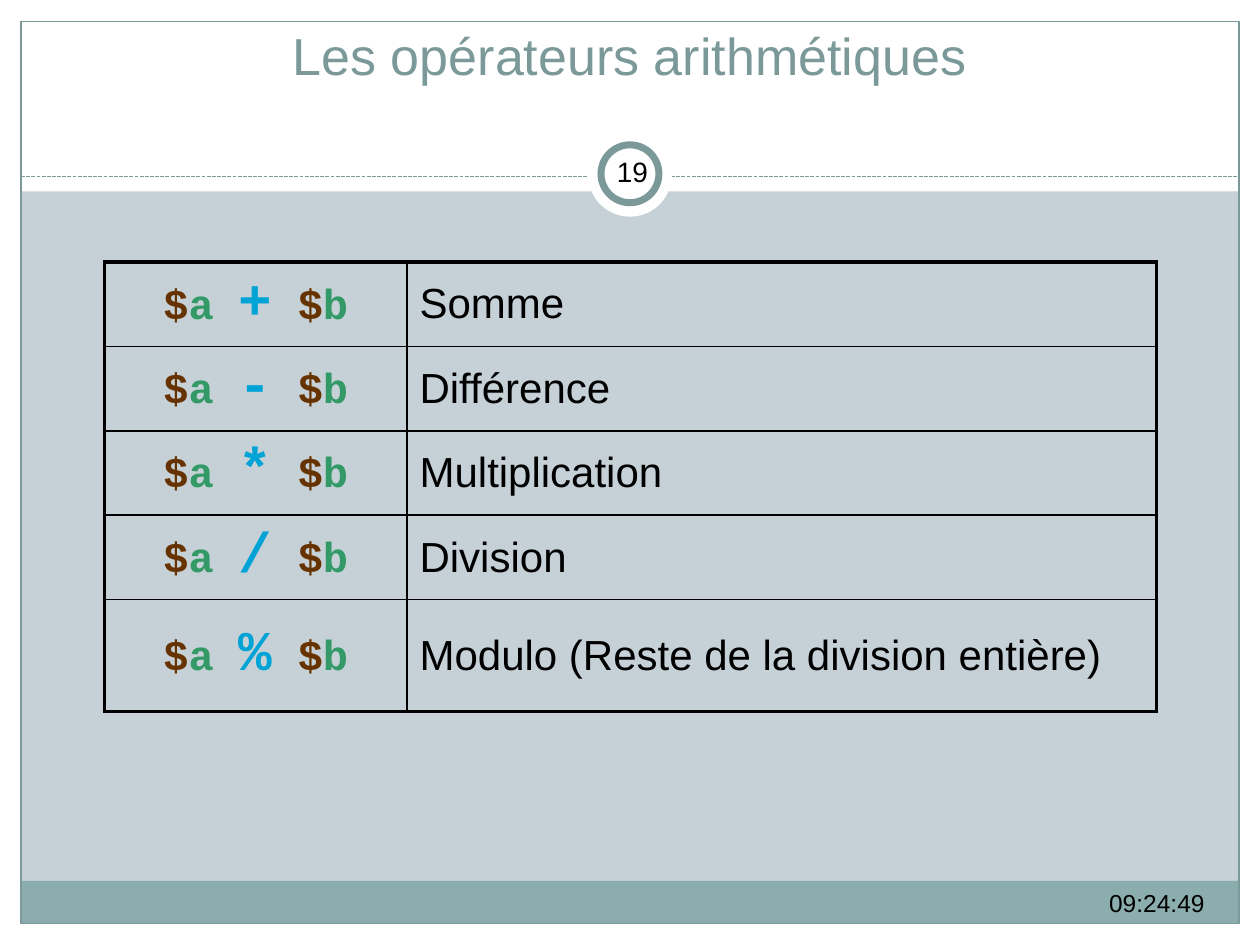
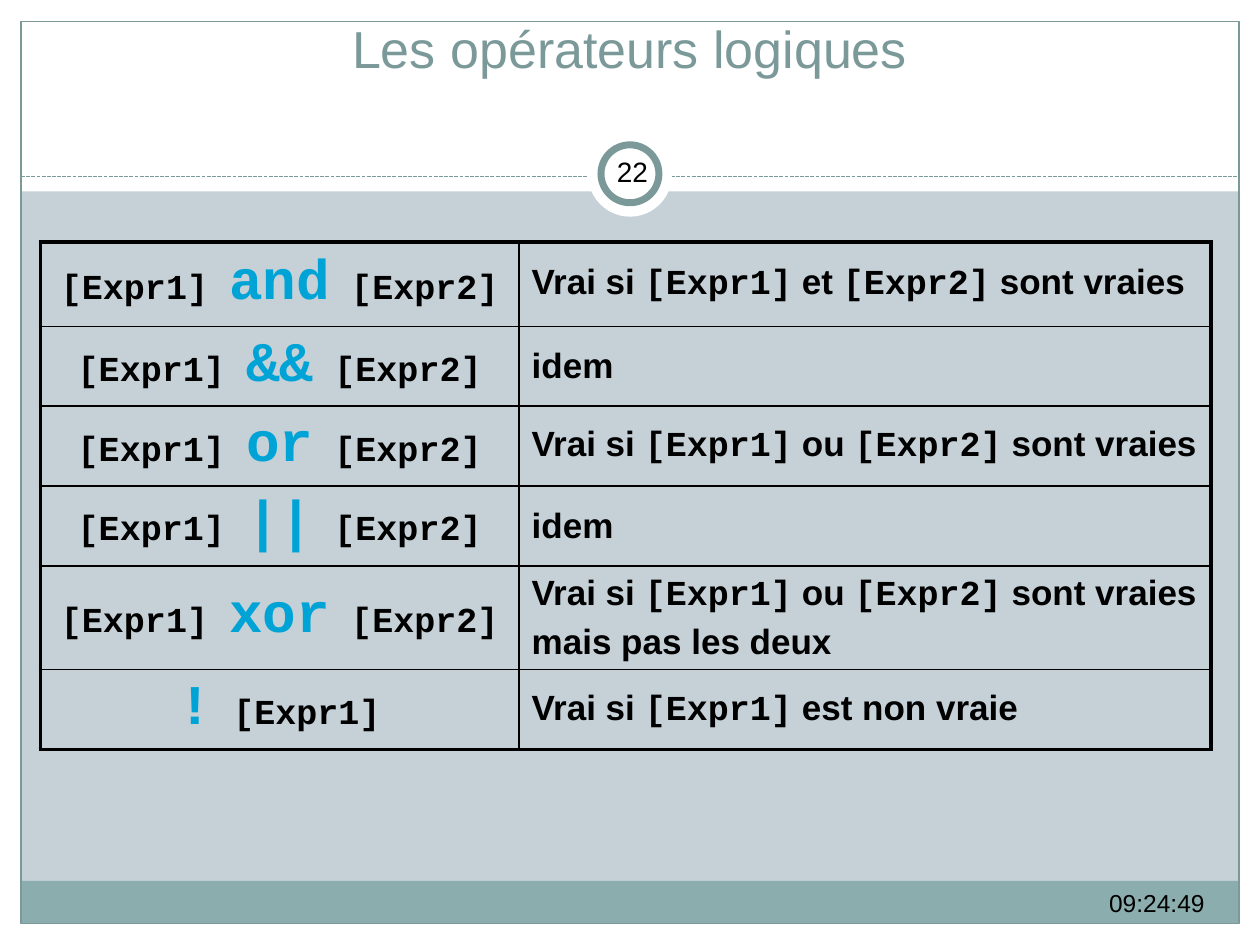
import pptx
import pptx.util
import pptx.dml.color
import pptx.enum.dml
import pptx.enum.shapes
import pptx.enum.text
import lxml.etree
from pptx.oxml.ns import qn

Pt = pptx.util.Pt
Inches = pptx.util.Inches
Rgb = pptx.dml.color.RGBColor.from_string
Kind = pptx.enum.shapes.MSO_SHAPE
Align = pptx.enum.text.PP_ALIGN
Anchor = pptx.enum.text.MSO_ANCHOR


class Theme:
    back, white, black = "C5D1D7", "FFFFFF", "000000"
    band, accent = "8CADAE", "7C999A"
    dollar, name, sign = "663300", "339966", "00A3D6"
    sans, mono = "Arial", "Courier New"
    title, clock, number = 29.7, 14, 16
    large, text, small = 32, 24, 20
    hair, ring = 0.75, 4
    thin, thick = 1, 2.25


deck = pptx.Presentation()
deck.slide_width, deck.slide_height = Inches(10), Inches(7.5)


def grid(left, top, width, height):
    """Turn percentages of the slide into lengths."""
    wide, high = deck.slide_width / 100, deck.slide_height / 100
    return [int(n) for n in (left * wide, top * high, width * wide, height * high)]


def write(par, parts, align):
    """Fill a paragraph with (text, font, size, colour, bold) runs."""
    par.alignment = align
    for text, font, size, colour, bold in parts:
        run = par.add_run()
        run.text = text
        run.font.name, run.font.size, run.font.bold = font, Pt(size), bold
        run.font.color.rgb = Rgb(colour)


# Shared background and frame: drawn on the first slide, moved to the layout
layout = deck.slide_layouts[5]
fill = deck.slide_master.background.fill
fill.solid()
fill.fore_color.rgb = Rgb(Theme.back)
first = deck.slides.add_slide(layout)

side, edge = 1.67, 2.27  # white margins, in shares of width and height
inner = 100 - 2 * side
frame = [
    (Kind.RECTANGLE, (0, 100 - edge, 100, edge), Theme.white, 0),
    (Kind.RECTANGLE, (0, 0, 100, 20.27), Theme.white, 0),
    (Kind.RECTANGLE, (0, 0, side, 100), Theme.white, 0),
    (Kind.RECTANGLE, (100 - side, 0, side, 100), Theme.white, 0),
    (Kind.RECTANGLE, (side, 93.2, inner, 4.53), Theme.band, 0),
    (Kind.RECTANGLE, (side, edge, inner, 100 - 2 * edge), None, Theme.hair),
    (Kind.OVAL, (46.67, 14, 6.67, 8.93), Theme.white, 0),
    (Kind.OVAL, (47.7, 15.33, 4.6, 6.13), Theme.white, Theme.ring),
]

left, top, width, height = grid(side, 18.67, inner, 0)
rule = first.shapes.add_connector(
    pptx.enum.shapes.MSO_CONNECTOR.STRAIGHT, left, top, left + width, top)
rule.line.color.rgb = Rgb(Theme.accent)
rule.line.width = Pt(Theme.hair)
rule.line.dash_style = pptx.enum.dml.MSO_LINE.SQUARE_DOT
lxml.etree.SubElement(rule.element.spPr, qn("a:effectLst"))

for kind, area, colour, line in frame:
    if kind == Kind.OVAL:
        layout.shapes.element.append(rule.element)  # the ovals cover the rule
    shape = first.shapes.add_shape(kind, *grid(*area))
    shape.shadow.inherit = False
    if colour:
        shape.fill.solid()
        shape.fill.fore_color.rgb = Rgb(colour)
    else:
        shape.fill.background()
    if line:
        shape.line.color.rgb = Rgb(Theme.accent)
        shape.line.width = Pt(line)
    else:
        shape.line.fill.background()
    layout.shapes.element.append(shape.element)
    if kind == Kind.OVAL and not line:
        disc = shape
# Keep the order: rule, white disc, ring
shape.element.addprevious(rule.element)
shape.element.addprevious(disc.element)

# Table contents: a cell is a list of paragraphs, a paragraph a list of runs
maths = []
for sign, label in [("+", "Somme"), ("-", "Différence"), ("*", "Multiplication"),
                    ("/", "Division"), ("%", "Modulo (Reste de la division entière)")]:
    term = [("$", Theme.text, Theme.dollar), ("a ", Theme.text, Theme.name),
            (sign, Theme.large, Theme.sign), (" ", Theme.text, Theme.black),
            ("$", Theme.text, Theme.dollar), ("b", Theme.text, Theme.name)]
    code = [(text, Theme.mono, size, colour, True) for text, size, colour in term]
    note = [(label, Theme.sans, Theme.text, Theme.black, False)]
    maths.append(([code], [note]))

# In a note, bars set off the parts written in the code font
either = "Vrai si |[Expr1]| ou |[Expr2]| sont vraies"
logic = []
for head, sign, tail, lines in [
    ("[Expr1] ", "and", " [Expr2]", ["Vrai si |[Expr1]| et |[Expr2]| sont vraies"]),
    ("[Expr1] ", "&&", " [Expr2]", ["idem"]),
    ("[Expr1] ", "or", " [Expr2]", [either]),
    ("[Expr1] ", "||", " [Expr2]", ["idem"]),
    ("[Expr1] ", "xor", " [Expr2]", [either, "mais pas les deux"]),
    ("", "!", " [Expr1]", ["Vrai si |[Expr1]| est non vraie"]),
]:
    term = [(head, Theme.small, Theme.black), (sign, Theme.large, Theme.sign),
            (tail, Theme.small, Theme.black)]
    code = [(text, Theme.mono, size, colour, True) for text, size, colour in term if text]
    fonts = (Theme.sans, Theme.mono)
    notes = [[(text, fonts[i % 2], Theme.small, Theme.black, True)
              for i, text in enumerate(line.split("|"))] for line in lines]
    logic.append(([code], notes))

# Slide, title, title height, number, table corner, columns, rows, cells
pages = [
    (first, "Les opérateurs arithmétiques", 5.73, "19", (8.3, 27.73),
     (24, 59.5), [8.93] * 4 + [11.87], maths),
    (deck.slides.add_slide(layout), "Les opérateurs logiques", 5.07, "22", (3.2, 25.6),
     (38, 54.9), [8.93] + [7.73] * 4 + [6.67], logic),
]
for slide, head, tall, number, corner, cols, rows, cells in pages:
    title = slide.shapes.title
    title.left, title.top, title.width, title.height = grid(5, 4, 90, tall)
    box = title.text_frame
    box.text = head
    box.vertical_anchor = Anchor.BOTTOM
    box.auto_size = pptx.enum.text.MSO_AUTO_SIZE.NONE
    box.margin_top = box.margin_bottom = Inches(0.05)
    par = box.paragraphs[0]
    par.alignment = Align.CENTER
    font = par.runs[0].font
    font.name, font.size = Theme.sans, Pt(Theme.title)
    font.color.rgb = Rgb(Theme.accent)

    for text, area, size, align, anchor, inset in [
        ("09:24:49", (63.3, 93.33, 33.3, 5.33), Theme.clock, Align.RIGHT, Anchor.TOP, 0.1),
        (number, (47.7, 14.93, 5, 6.4), Theme.number, Align.CENTER, Anchor.MIDDLE, 0.05),
    ]:
        box = slide.shapes.add_textbox(*grid(*area)).text_frame
        box.word_wrap = True
        box.vertical_anchor = anchor
        box.margin_left = box.margin_right = Inches(inset)
        write(box.paragraphs[0], [(text, Theme.sans, size, Theme.black, False)], align)

    holder = slide.shapes.add_table(
        len(rows), len(cols), *grid(*corner, sum(cols), sum(rows)))
    table = holder.table
    table.first_row = table.horz_banding = False
    for col, share in zip(table.columns, cols):
        col.width = grid(0, 0, share, 0)[2]
    for row, share in zip(table.rows, rows):
        row.height = grid(0, 0, 0, share)[3]

    for r, line in enumerate(cells):
        for c, pars in enumerate(line):
            cell = table.cell(r, c)
            cell.vertical_anchor = Anchor.MIDDLE
            cell.fill.background()
            box = cell.text_frame
            for i, parts in enumerate(pars):
                par = box.add_paragraph() if i else box.paragraphs[0]
                write(par, parts, Align.LEFT if c else Align.CENTER)
                if i:
                    par.space_before = Pt(0.2 * Theme.small)

    # Borders: thick round the table, thin inside; they precede the cell's fill
    for n, props in enumerate(holder.element.iter(qn("a:tcPr"))):
        r, c = divmod(n, len(cols))
        outer = {"L": c == 0, "R": c == len(cols) - 1,
                 "T": r == 0, "B": r == len(rows) - 1}
        for i, (letter, thick) in enumerate(outer.items()):
            border = lxml.etree.Element(qn("a:ln" + letter))
            border.set("w", str(Pt(Theme.thick if thick else Theme.thin)))
            ink = lxml.etree.SubElement(border, qn("a:solidFill"))
            lxml.etree.SubElement(ink, qn("a:srgbClr")).set("val", Theme.black)
            props.insert(i, border)

deck.save("out.pptx")
